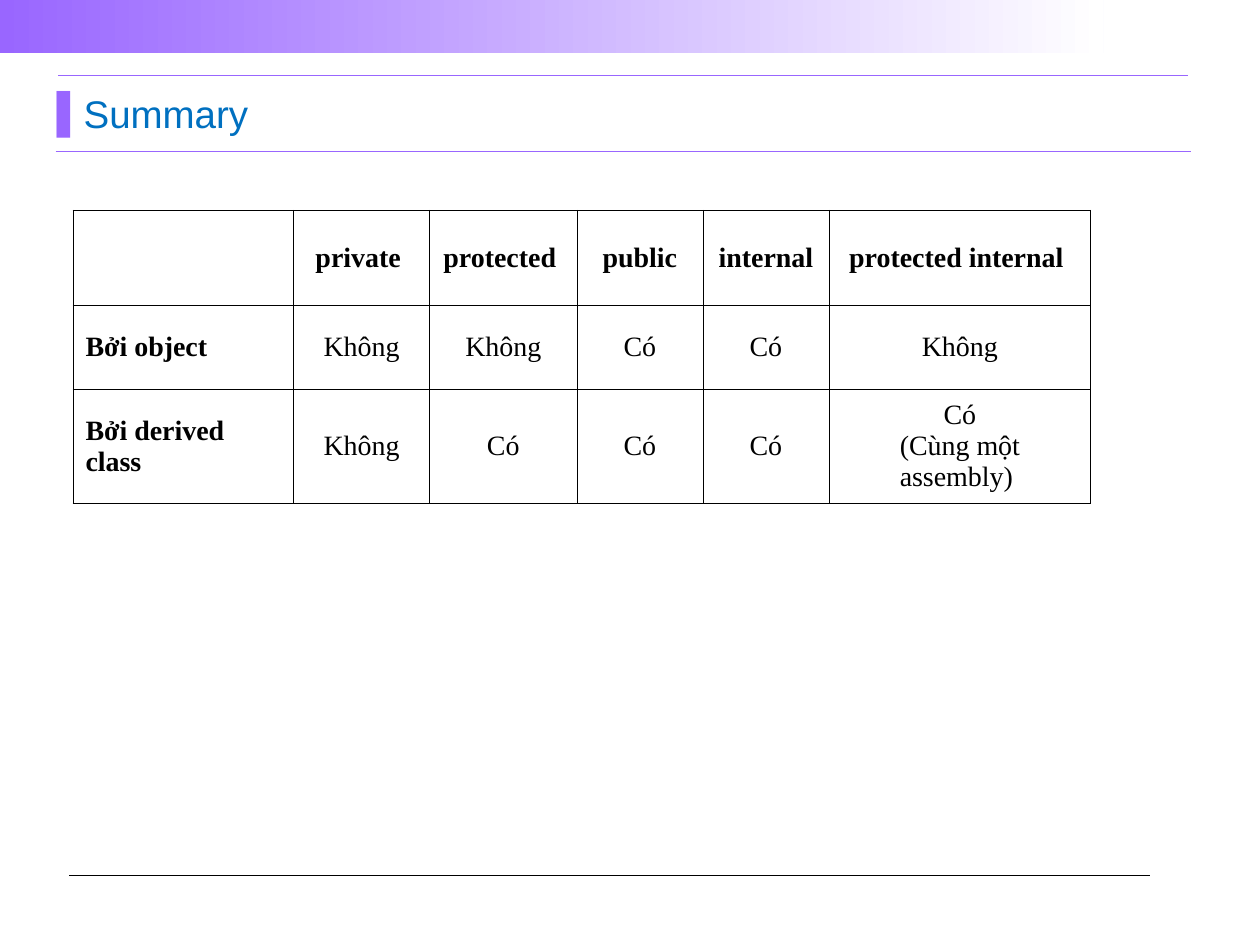
from typing import NamedTuple

from lxml import etree
from pptx import Presentation, util as u
from pptx.dml.color import RGBColor
from pptx.enum import shapes, text
from pptx.oxml import ns

HUES = {"violet": "9966FF", "white": "FFFFFF", "blue": "0070C0", "black": "000000"}


class Rule(NamedTuple):
    left: float
    right: float
    top: float
    hue: str
    width: float


RULES = [
    Rule(1.12, 24, 3.05, "violet", 0.5),
    Rule(1.4, 23.19, 17.65, "black", 0.75),
    Rule(1.17, 23.95, 1.52, "violet", 0.75),
]
COLS = [4.45, 2.74, 2.97, 2.54, 2.54, 5.28]
ROWS = [1.91, 1.7, 2.29]
CELLS = [
    ["", "private ", "protected ", "public", "internal", "protected internal "],
    ["Bởi object", "Không", "Không", "Có", "Có", "Không"],
    ["Bởi derived class", "Không", "Có", "Có", "Có", "Có\n(Cùng một assembly) "],
]


def rgb(hue: str) -> RGBColor:
    return RGBColor.from_string(HUES[hue])


def add(node, tag: str, **attrs: str):
    return etree.SubElement(node, ns.qn(tag), attrs)


def write(frame, words: str, *, font="Times New Roman", size=16, hue="black",
          bold=False, align=text.PP_ALIGN.LEFT) -> None:
    """Put each line of words in its own paragraph."""
    for i, line in enumerate(words.split("\n")):
        para = frame.add_paragraph() if i else frame.paragraphs[0]
        para.alignment = align
        run = para.add_run()
        run.text = line
        run.font.name, run.font.size = font, u.Pt(size)
        run.font.bold = bold
        run.font.color.rgb = rgb(hue)


def draw_band(slide) -> None:
    band = slide.shapes.add_shape(
        shapes.MSO_SHAPE.RECTANGLE, 0, 0, u.Cm(22.25), u.Cm(1.07))
    band.shadow.inherit = False
    band.line.fill.background()
    band.fill.gradient()
    band.fill.gradient_angle = 0
    for stop, hue in zip(band.fill.gradient_stops, ("violet", "white")):
        stop.color.rgb = rgb(hue)


def draw_rule(slide, rule: Rule) -> None:
    line = slide.shapes.add_connector(
        shapes.MSO_CONNECTOR.STRAIGHT, u.Cm(rule.left), u.Cm(rule.top),
        u.Cm(rule.right), u.Cm(rule.top))
    line.line.color.rgb = rgb(rule.hue)
    line.line.width = u.Pt(rule.width)
    add(line._element.spPr, "a:effectLst")


def draw_title(slide) -> None:
    box = slide.shapes.add_textbox(u.Cm(1.14), u.Cm(1.8), u.Cm(21.89), u.Cm(0.94))
    frame = box.text_frame
    frame.word_wrap = True
    frame.vertical_anchor = text.MSO_ANCHOR.BOTTOM
    frame.margin_left = frame.margin_right = 0
    frame.margin_top = frame.margin_bottom = 0
    write(frame, "Summary", font="Arial", size=22, hue="blue")
    props = frame.paragraphs[0]._p.get_or_add_pPr()
    dent = u.Cm(0.48)
    props.set("marL", str(dent))
    props.set("indent", str(-dent))
    add(add(props, "a:buClr"), "a:srgbClr", val=HUES["violet"])
    add(props, "a:buFont", typeface="Arial")
    add(props, "a:buChar", char="▌")


def frame_cell(cell) -> None:
    """Draw thin black borders; they must come before the fill in the XML."""
    props = cell._tc.get_or_add_tcPr()
    for side in ("a:lnL", "a:lnR", "a:lnT", "a:lnB"):
        edge = add(props, side, w=str(u.Pt(0.45)))
        add(add(edge, "a:solidFill"), "a:srgbClr", val=HUES["black"])
    cell.fill.background()


def draw_table(slide) -> None:
    table = slide.shapes.add_table(
        len(ROWS), len(COLS), u.Cm(1.47), u.Cm(4.24),
        u.Cm(sum(COLS)), u.Cm(sum(ROWS))).table
    table.first_row = table.horz_banding = False
    for col, width in zip(table.columns, COLS):
        col.width = u.Cm(width)
    for row, height in zip(table.rows, ROWS):
        row.height = u.Cm(height)
    for r, line in enumerate(CELLS):
        for c, words in enumerate(line):
            cell = table.cell(r, c)
            cell.vertical_anchor = text.MSO_ANCHOR.MIDDLE
            frame_cell(cell)
            if words:
                align = text.PP_ALIGN.CENTER if c else text.PP_ALIGN.LEFT
                write(cell.text_frame, words, bold=r == 0 or c == 0, align=align)


def main() -> None:
    deck = Presentation()
    deck.slide_width, deck.slide_height = u.Cm(25.4), u.Cm(19.05)
    slide = deck.slides.add_slide(deck.slide_layouts[6])
    draw_band(slide)
    for rule in RULES:
        draw_rule(slide, rule)
    draw_title(slide)
    draw_table(slide)
    deck.save("out.pptx")


if __name__ == "__main__":
    main()
